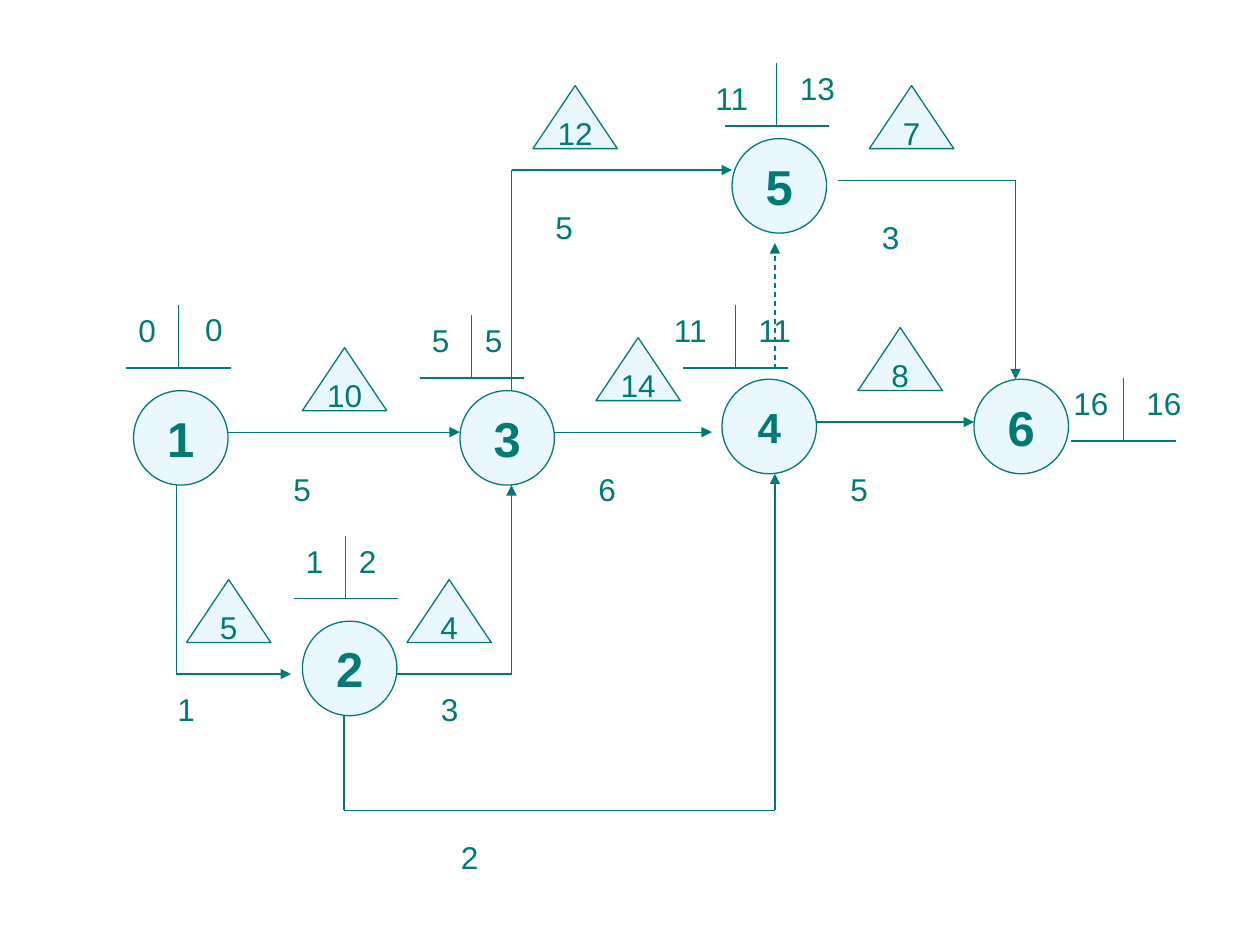
from itertools import pairwise

from lxml.etree import SubElement
from pptx import Presentation
from pptx.dml.color import RGBColor
from pptx.enum.dml import MSO_LINE
from pptx.enum.shapes import MSO_CONNECTOR, MSO_SHAPE
from pptx.enum.text import MSO_ANCHOR, MSO_AUTO_SIZE, PP_ALIGN
from pptx.oxml.ns import qn
from pptx.util import Inches, Pt

THEME = {
    "ink": RGBColor(0x00, 0x7A, 0x77),
    "fill": RGBColor(0xEB, 0xF7, 0xFF),
    "font": "Arial",
    "node": 28,
    "small_node": 24,
    "label": 18,
    "line": 0.75,
}
NODE = 0.75
TRIANGLE_W, TRIANGLE_H = 0.67, 0.5
MARK_W, MARK_H = 0.83, 0.5
LABEL_W, LABEL_H = 1.08, 0.4

# Event number, left, top, type size
EVENTS = [
    ("1", 1.06, 3.1, "node"),
    ("3", 3.65, 3.1, "node"),
    ("2", 2.4, 4.93, "node"),
    ("5", 5.81, 1.1, "node"),
    ("4", 5.73, 3.01, "small_node"),
    ("6", 7.73, 3.01, "node"),
]
# Corner points of each activity; the arrowhead is at the last one
ACTIVITIES = [
    [(1.81, 3.43), (3.65, 3.43)],
    [(4.4, 3.43), (5.65, 3.43)],
    [(6.48, 3.35), (7.73, 3.35)],
    [(1.4, 3.85), (1.4, 5.35), (2.31, 5.35)],
    [(3.15, 5.35), (4.06, 5.35), (4.06, 3.85)],
    [(2.73, 5.68), (2.73, 6.43), (6.15, 6.43), (6.15, 3.76)],
    [(4.06, 3.1), (4.06, 1.35), (5.81, 1.35)],
    [(6.65, 1.43), (8.06, 1.43), (8.06, 3.01)],
]
DUMMY_ACTIVITY = [(6.15, 2.93), (6.15, 1.93)]
# Duration, left, top
DURATIONS = [
    ("5", 2.23, 3.68), ("1", 1.31, 5.43), ("3", 3.4, 5.43), ("6", 4.65, 3.68),
    ("5", 6.65, 3.68), ("3", 6.9, 1.68), ("5", 4.31, 1.6), ("2", 3.56, 6.6),
]
# Resources, left, top
RESOURCES = [
    ("10", 2.4, 2.76), ("5", 1.48, 4.6), ("4", 3.23, 4.6), ("14", 4.73, 2.68),
    ("12", 4.23, 0.68), ("7", 6.9, 0.68), ("8", 6.81, 2.6),
]
# Mark left and top, then early and late times as text, left, top, width
TIME_MARKS = [
    (1, 2.42, ("0", 1, 2.42, 0.42), ("0", 1.53, 2.41, 0.42)),
    (3.33, 2.5, ("5", 3.33, 2.5, 0.42), ("5", 3.75, 2.5, 0.42)),
    (2.33, 4.25, ("1", 2.33, 4.25, 0.42), ("2", 2.75, 4.25, 0.42)),
    (5.75, 0.5, ("11", 5.58, 0.58, 0.58), ("13", 6.25, 0.5, 0.58)),
    (5.42, 2.42, ("11", 5.25, 2.42, 0.58), ("11", 5.92, 2.42, 0.67)),
    (8.5, 3, ("16", 8.42, 3, 0.67), ("16", 9, 3, 0.58)),
]


def write(tf, text, size, bold=False):
    p = tf.paragraphs[0]
    r = p.add_run()
    r.text = text
    r.font.name = THEME["font"]
    r.font.size = Pt(THEME[size])
    r.font.bold = bold
    r.font.color.rgb = THEME["ink"]
    return p


def add_symbol(s, kind, box, text, size, bold=False):
    sp = s.shapes.add_shape(kind, *map(Inches, box))
    sp.shadow.inherit = False
    sp.fill.solid()
    sp.fill.fore_color.rgb = THEME["fill"]
    sp.line.color.rgb = THEME["ink"]
    sp.line.width = Pt(THEME["line"])
    tf = sp.text_frame
    tf.word_wrap = False
    tf.vertical_anchor = MSO_ANCHOR.MIDDLE
    write(tf, text, size, bold).alignment = PP_ALIGN.CENTER


def add_label(s, text, left, top, width=LABEL_W):
    sp = s.shapes.add_textbox(*map(Inches, (left, top, width, LABEL_H)))
    tf = sp.text_frame
    tf.word_wrap = True
    tf.auto_size = MSO_AUTO_SIZE.SHAPE_TO_FIT_TEXT
    write(tf, text, "label")


def add_line(s, start, end, arrow=False, dashed=False):
    cn = s.shapes.add_connector(MSO_CONNECTOR.STRAIGHT, *map(Inches, start + end))
    cn.line.color.rgb = THEME["ink"]
    cn.line.width = Pt(THEME["line"])
    if dashed:
        cn.line.dash_style = MSO_LINE.DASH
    if arrow:
        SubElement(cn.line._get_or_add_ln(), qn("a:tailEnd"), type="triangle")
    SubElement(cn._element.spPr, qn("a:effectLst"))


def add_activity(s, points, dashed=False):
    for start, end in pairwise(points):
        add_line(s, start, end, arrow=end == points[-1], dashed=dashed)


def add_time_mark(s, left, top, early, late):
    """Draw an inverted T with the early time on its left and the late on its right."""
    middle, base = left + MARK_W / 2, top + MARK_H
    add_line(s, (middle, top), (middle, base))
    add_line(s, (left, base), (left + MARK_W, base))
    add_label(s, *early)
    add_label(s, *late)


def main():
    prs = Presentation()
    prs.slide_width, prs.slide_height = Inches(10), Inches(7.5)
    s = prs.slides.add_slide(prs.slide_layouts[6])

    for text, left, top, size in EVENTS:
        add_symbol(s, MSO_SHAPE.OVAL, (left, top, NODE, NODE), text, size, bold=True)
    for points in ACTIVITIES:
        add_activity(s, points)
    add_activity(s, DUMMY_ACTIVITY, dashed=True)
    for duration in DURATIONS:
        add_label(s, *duration)
    for text, left, top in RESOURCES:
        box = (left, top, TRIANGLE_W, TRIANGLE_H)
        add_symbol(s, MSO_SHAPE.ISOSCELES_TRIANGLE, box, text, "label")
    for mark in TIME_MARKS:
        add_time_mark(s, *mark)

    prs.save("out.pptx")


if __name__ == "__main__":
    main()
